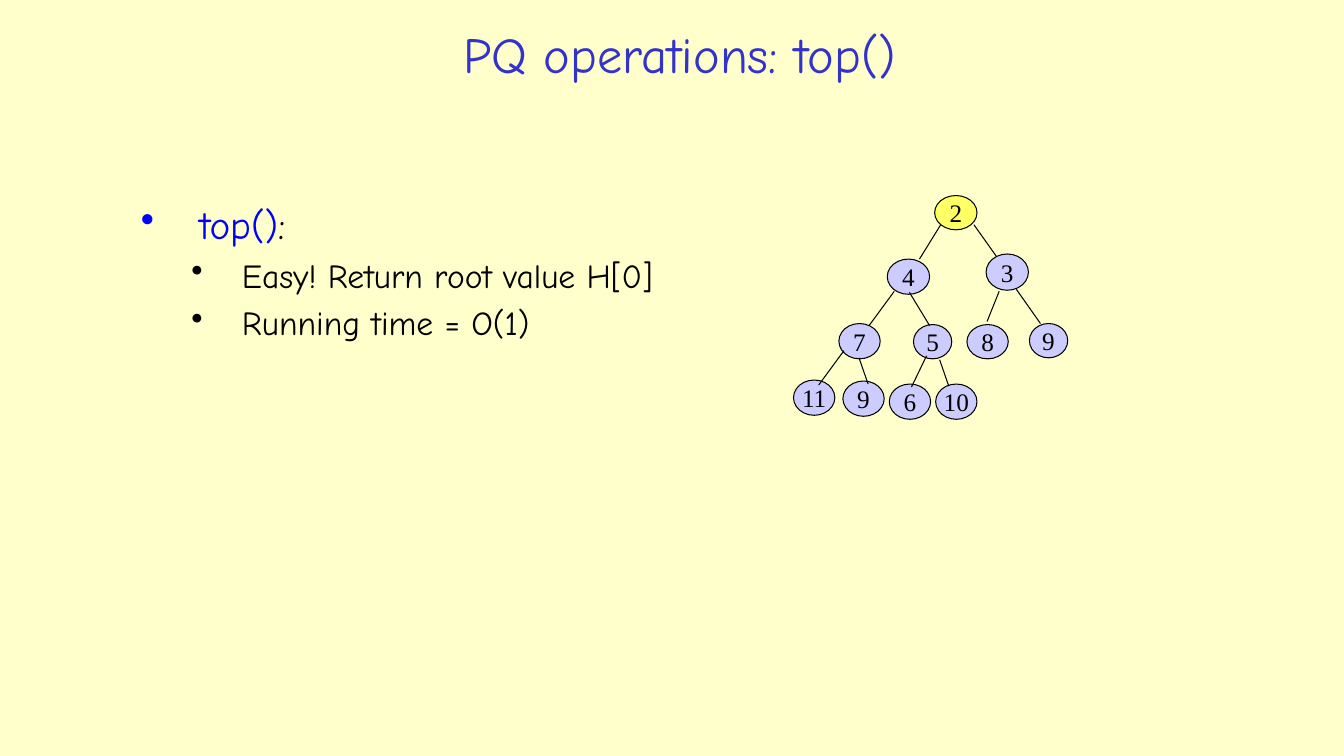
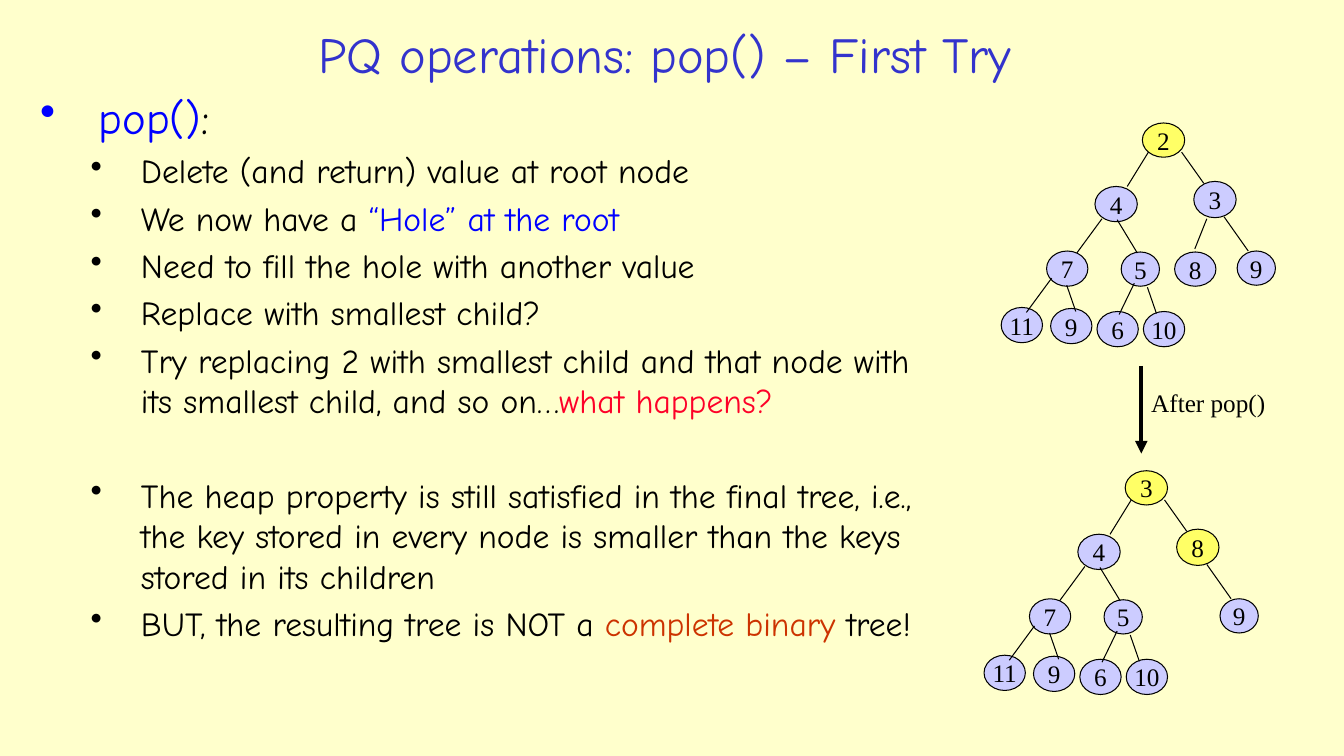
from lxml import etree
from pptx import Presentation
from pptx.dml.color import RGBColor
from pptx.enum import shapes, text
from pptx.oxml import ns
from pptx.util import Inches, Pt

COLORS = {
    "background": "FFFFCC", "title": "3333CC", "ink": "000000", "blue": "0000FF",
    "red": "FD0128", "rust": "CC3300", "node": "CCCCFF", "changed": "FFFF66",
}
TEXT_FONT, TREE_FONT = "Comic Neue", "Times New Roman"

# Slot: left, top, width, height, measured from the top left of the root
SLOTS = {
    "root": (0, 0, 0.42, 0.34),
    "L": (-0.47, 0.63, 0.42, 0.35),
    "R": (0.51, 0.58, 0.42, 0.36),
    "LL": (-0.95, 1.27, 0.41, 0.35),
    "LR": (-0.21, 1.28, 0.38, 0.34),
    "RL": (0.32, 1.28, 0.41, 0.34),
    "RR": (0.94, 1.27, 0.38, 0.34),
    "LLL": (-1.4, 1.83, 0.41, 0.35),
    "LLR": (-0.91, 1.84, 0.41, 0.35),
    "LRL": (-0.45, 1.87, 0.41, 0.35),
    "LRR": (0.01, 1.87, 0.41, 0.35),
}
# Line from the parent down to each child slot, on the same origin
EDGES = {
    "L": (0.06, 0.29, -0.15, 0.63),
    "R": (0.39, 0.29, 0.61, 0.6),
    "LL": (-0.4, 0.95, -0.65, 1.29),
    "LR": (-0.25, 0.96, -0.05, 1.29),
    "RL": (0.64, 0.95, 0.52, 1.25),
    "RR": (0.81, 0.93, 1.05, 1.27),
    "LLL": (-0.9, 1.54, -1.15, 1.88),
    "LLR": (-0.75, 1.61, -0.66, 1.87),
    "LRL": (-0.08, 1.59, -0.23, 1.9),
    "LRR": (0.05, 1.63, 0.14, 1.89),
}
HEAP = {"root": 2, "L": 4, "R": 3, "LL": 7, "LR": 5, "RL": 8, "RR": 9,
        "LLL": 11, "LLR": 9, "LRL": 6, "LRR": 10}
POPPED = {slot: key for slot, key in HEAP.items() if slot != "RL"} | {"root": 3, "R": 8}

# Bullet: level, size, space before, runs of (text, colour)
SLIDES = [
    {
        "title": "PQ operations: top()",
        "title_at": (1.97, 0.15, 9.54, 0.76),
        "body_at": (1.3, 1.94, 6.08, 1.69),
        "bullets": [
            (0, 28, 0, [("top()", "blue"), (":", "ink")]),
            (1, 24, 5, [("Easy! Return root value H[0]", "ink")]),
            (1, 24, 5, [("Running time = O(1)", "ink")]),
        ],
        "trees": [((9.27, 1.94), HEAP, {"root"})],
    },
    {
        "title": "PQ operations: pop() – First Try",
        "title_at": (1.68, 0.15, 9.83, 0.76),
        "body_at": (0.3, 0.84, 9.22, 6.16),
        "bullets": [
            (0, 32, 0, [("pop()", "blue"), (":", "ink")]),
            (1, 24, 5, [("Delete (and return) value at root node", "ink")]),
            (1, 24, 5, [("We now have a ", "ink"), ("“Hole” at the root", "blue")]),
            (1, 24, 5, [("Need to fill the hole with another value", "ink")]),
            (1, 24, 5, [("Replace with smallest child?", "ink")]),
            (1, 24, 5, [("Try replacing 2 with smallest child and that node with "
                         "its smallest child, and so on…", "ink"),
                        ("what happens?", "red")]),
            (1, 24, 39, [("The heap property is still satisfied in the final tree, "
                          "i.e., the key stored in every node is smaller than the "
                          "keys stored in its children", "ink")]),
            (1, 24, 5, [("BUT, the resulting tree is NOT a ", "ink"),
                        ("complete binary", "rust"), (" tree!", "ink")]),
        ],
        "trees": [((11.33, 1.22), HEAP, {"root"}),
                  ((11.16, 4.67), POPPED, {"root", "R"})],
        "arrow": (11.32, 3.63, 11.32, 4.5),
        "arrow_label": ("After pop()", (11.32, 3.79, 1.34, 0.4)),
    },
]
INDENTS = [(0.58, -0.58), (1, -0.5)]


def rgb(name):
    return RGBColor.from_string(COLORS[name])


def inches(values):
    return [Inches(value) for value in values]


def set_font(font, name, size, color=None):
    font.name, font.size = name, Pt(size)
    if color:
        font.color.rgb = rgb(color)


def add_title(page, wording, place):
    title = page.shapes.title
    title.left, title.top, title.width, title.height = inches(place)
    frame = title.text_frame
    frame.text = wording
    frame.vertical_anchor = text.MSO_ANCHOR.MIDDLE
    para = frame.paragraphs[0]
    para.alignment = text.PP_ALIGN.CENTER
    set_font(para.font, TEXT_FONT, 36, "title")


def add_bullets(page, bullets, place):
    frame = page.shapes.add_textbox(*inches(place)).text_frame
    frame.word_wrap = True
    for index, (level, size, space, runs) in enumerate(bullets):
        para = frame.add_paragraph() if index else frame.paragraphs[0]
        para.level = level
        if space:
            para.space_before = Pt(space)
        properties = para._p.get_or_add_pPr()
        margin, indent = inches(INDENTS[level])
        properties.set("marL", str(margin))
        properties.set("indent", str(indent))
        etree.SubElement(properties, ns.qn("a:buChar")).set("char", "•")
        set_font(para.font, TEXT_FONT, size)
        for wording, color in runs:
            span = para.add_run()
            span.text = wording
            span.font.color.rgb = rgb(color)


def add_line(page, ends, width=0.75):
    line = page.shapes.add_connector(shapes.MSO_CONNECTOR.STRAIGHT, *inches(ends))
    line.line.color.rgb = rgb("ink")
    line.line.width = Pt(width)
    etree.SubElement(line._element.spPr, ns.qn("a:effectLst"))
    return line


def add_node(page, key, place, color):
    node = page.shapes.add_shape(shapes.MSO_SHAPE.OVAL, *inches(place))
    node.shadow.inherit = False
    node.fill.solid()
    node.fill.fore_color.rgb = rgb(color)
    node.line.color.rgb = rgb("ink")
    node.line.width = Pt(0.75)
    frame = node.text_frame
    frame.word_wrap = False
    frame.vertical_anchor = text.MSO_ANCHOR.MIDDLE
    frame.text = str(key)
    para = frame.paragraphs[0]
    para.alignment = text.PP_ALIGN.CENTER
    set_font(para.font, TREE_FONT, 18, "ink")


def add_tree(page, origin, keys, changed):
    x, y = origin
    for slot, key in keys.items():
        left, top, width, height = SLOTS[slot]
        color = "changed" if slot in changed else "node"
        add_node(page, key, (x + left, y + top, width, height), color)
    for slot, (x1, y1, x2, y2) in EDGES.items():
        if slot in keys:
            add_line(page, (x + x1, y + y1, x + x2, y + y2))


def add_arrow(page, ends, label):
    arrow = add_line(page, ends, 3)
    etree.SubElement(arrow.line._get_or_add_ln(), ns.qn("a:tailEnd")).set("type", "triangle")
    wording, place = label
    frame = page.shapes.add_textbox(*inches(place)).text_frame
    frame.word_wrap = False
    frame.text = wording
    set_font(frame.paragraphs[0].font, TREE_FONT, 18, "ink")


def main():
    deck = Presentation()
    deck.slide_width, deck.slide_height = inches((13.33, 7.5))
    background = deck.slide_master.background.fill
    background.solid()
    background.fore_color.rgb = rgb("background")
    for content in SLIDES:
        page = deck.slides.add_slide(deck.slide_layouts.get_by_name("Title Only"))
        add_title(page, content["title"], content["title_at"])
        add_bullets(page, content["bullets"], content["body_at"])
        for tree in content["trees"]:
            add_tree(page, *tree)
        if "arrow" in content:
            add_arrow(page, content["arrow"], content["arrow_label"])
    deck.save("out.pptx")


if __name__ == "__main__":
    main()
